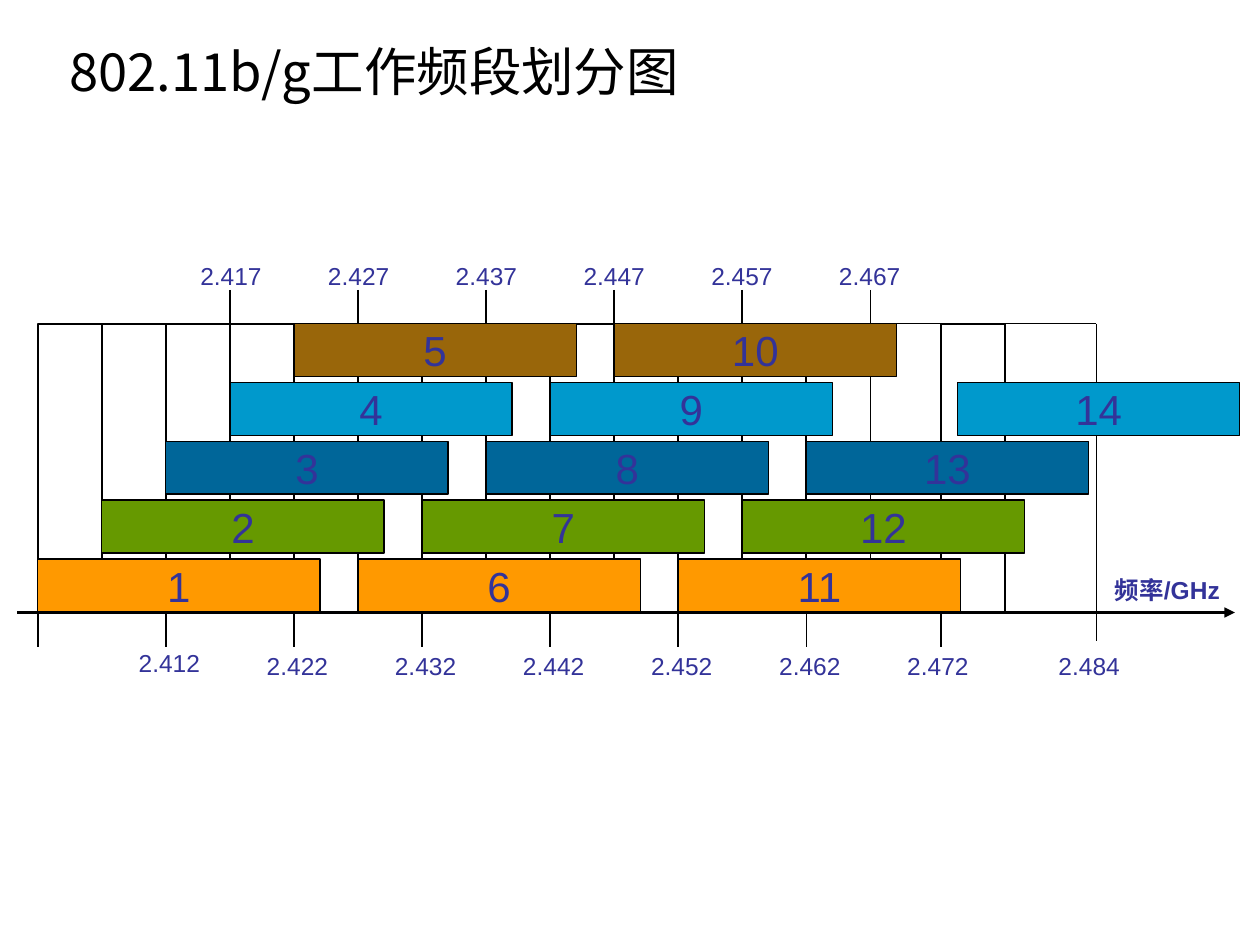
from dataclasses import dataclass

import pptx
import pptx.dml.color
import pptx.enum.shapes
import pptx.enum.text
import pptx.oxml.ns
import pptx.util
from lxml import etree

Pt = pptx.util.Pt
ALIGN = pptx.enum.text.PP_ALIGN
ANCHOR = pptx.enum.text.MSO_ANCHOR
AUTO_SIZE = pptx.enum.text.MSO_AUTO_SIZE
qn = pptx.oxml.ns.qn

LATIN, CJK = "Arial", "Noto Sans CJK SC"
BLACK, WHITE, INDIGO = "000000", "FFFFFF", "333399"
BAND_COLORS = ["FF9900", "669900", "006699", "0099CC", "99660A"]  # bottom row first

# Frequency grid: one slot is 5 MHz
GRID_LEFT, GRID_TOP, AXIS_Y = 21.6, 185, 350
SLOT = 36.6
LAST_SLOT_LEFT, CHANNEL_14_CENTER = 537.8, 626.4
BAND_WIDTH, BAND_HEIGHT, ROW_STEP = 161.3, 30.2, 33.6
TICK_LENGTH = 33
UPPER_TICK_TOP, LOWER_TICK_TOP = 165.6, 337


@dataclass
class Box:
    left: float
    top: float
    width: float
    height: float


@dataclass
class Style:
    size: float
    color: str = INDIGO
    font: str = LATIN
    bold: bool = False
    align: ALIGN = ALIGN.CENTER


@dataclass
class Channel:
    number: int
    left: float
    row: int


def rgb(color: str) -> pptx.dml.color.RGBColor:
    return pptx.dml.color.RGBColor.from_string(color)


def slot_x(index: int) -> float:
    return GRID_LEFT + SLOT * index


def write(frame, words: str, style: Style) -> None:
    frame.vertical_anchor = ANCHOR.MIDDLE
    paragraph = frame.paragraphs[0]
    paragraph.alignment = style.align
    run = paragraph.add_run()
    run.text = words
    run.font.name = style.font
    run.font.size = Pt(style.size)
    run.font.bold = style.bold
    run.font.color.rgb = rgb(style.color)
    east_asian = etree.SubElement(run.font._element, qn("a:ea"))
    east_asian.set("typeface", CJK)


def add_text(slide, box: Box, words: str, style: Style, inset: float = 0, wrap: bool = False) -> None:
    frame = slide.shapes.add_textbox(Pt(box.left), Pt(box.top), Pt(box.width), Pt(box.height)).text_frame
    frame.word_wrap = wrap
    frame.auto_size = AUTO_SIZE.NONE if wrap else AUTO_SIZE.SHAPE_TO_FIT_TEXT
    frame.margin_left = frame.margin_right = Pt(inset)
    frame.margin_top = frame.margin_bottom = Pt(min(inset, 3.6))
    write(frame, words, style)


def add_rect(slide, box: Box, fill: str, weight: float):
    rect = slide.shapes.add_shape(pptx.enum.shapes.MSO_SHAPE.RECTANGLE,
                                  Pt(box.left), Pt(box.top), Pt(box.width), Pt(box.height))
    rect.shadow.inherit = False
    rect.fill.solid()
    rect.fill.fore_color.rgb = rgb(fill)
    rect.line.color.rgb = rgb(BLACK)
    rect.line.width = Pt(weight)
    return rect


def add_line(slide, x1: float, y1: float, x2: float, y2: float, weight: float, arrow: bool = False) -> None:
    line = slide.shapes.add_connector(pptx.enum.shapes.MSO_CONNECTOR.STRAIGHT,
                                      Pt(x1), Pt(y1), Pt(x2), Pt(y2))
    line.line.color.rgb = rgb(BLACK)
    line.line.width = Pt(weight)
    if arrow:
        etree.SubElement(line.line._get_or_add_ln(), qn("a:tailEnd")).set("type", "triangle")
    etree.SubElement(line._element.spPr, qn("a:effectLst"))


def add_frequency(slide, mhz: int, center: float, top: float) -> None:
    add_text(slide, Box(center - 24.8, top, 49.6, 24.5), f"{mhz / 1000:.3f}", Style(14), inset=7.2)


def add_channel(slide, channel: Channel) -> None:
    top = GRID_TOP + ROW_STEP * (len(BAND_COLORS) - 1 - channel.row)
    band = add_rect(slide, Box(channel.left, top, BAND_WIDTH, BAND_HEIGHT), BAND_COLORS[channel.row], 0.75)
    band.text_frame.word_wrap = False
    write(band.text_frame, str(channel.number), Style(24))


def main() -> None:
    deck = pptx.Presentation()
    deck.slide_width, deck.slide_height = Pt(720), Pt(540)
    slide = deck.slides.add_slide(deck.slide_layouts[6])

    # Title
    add_text(slide, Box(36, 9.4, 590.4, 61.2), "802.11b/g工作频段划分图",
             Style(30, BLACK, CJK, align=ALIGN.LEFT), inset=3.6, wrap=True)

    # Background grid
    add_line(slide, CHANNEL_14_CENTER, GRID_TOP, CHANNEL_14_CENTER, 366.5, 0.75)
    for left in [slot_x(index) for index in range(13)] + [LAST_SLOT_LEFT]:
        add_rect(slide, Box(left, GRID_TOP, SLOT, AXIS_Y - GRID_TOP), WHITE, 1)

    # Ticks
    lower_ticks = [slot_x(index) for index in (0, *range(2, 13, 2))] + [LAST_SLOT_LEFT]
    upper_ticks = [slot_x(index) for index in range(3, 14, 2)]
    for tick_top, ticks in ((LOWER_TICK_TOP, lower_ticks), (UPPER_TICK_TOP, upper_ticks)):
        for x in ticks:
            add_line(slide, x, tick_top, x, tick_top + TICK_LENGTH, 1)

    # Centre frequencies
    for step in range(6):
        add_frequency(slide, 2417 + 10 * step, 132 + 73 * step, 145.5)
    for step in range(7):
        add_frequency(slide, 2412 + 10 * step, 96.8 + 73.2 * step, 366.5 if step == 0 else 368)
    add_frequency(slide, 2484, 622.4, 368)

    # Channels
    for number in range(1, 14):
        add_channel(slide, Channel(number, slot_x(number - 1), (number - 1) % len(BAND_COLORS)))
    add_channel(slide, Channel(14, 547.2, 3))

    # Frequency axis and top edge
    add_line(slide, 10, AXIS_Y, 705.6, AXIS_Y, 1.5, arrow=True)
    add_text(slide, Box(637, 328.5, 63.4, 16.6), "频率/GHz", Style(14, bold=True, align=ALIGN.LEFT))
    add_line(slide, GRID_LEFT, GRID_TOP, CHANNEL_14_CENTER, GRID_TOP, 0.75)

    deck.save("out.pptx")


if __name__ == "__main__":
    main()
